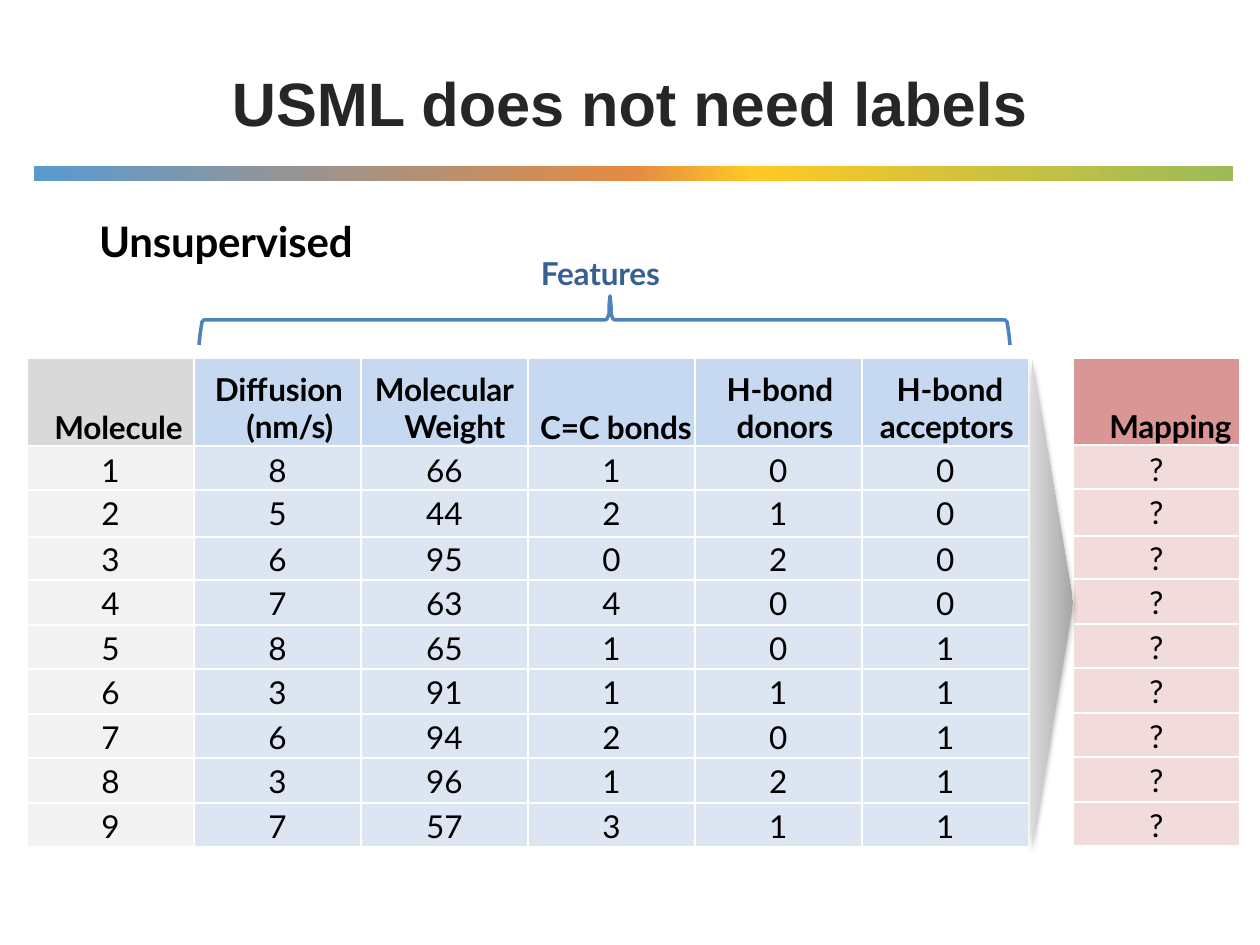
from dataclasses import dataclass

from pptx import Presentation, oxml, util as u
from pptx.dml import color
from pptx.enum import shapes, text
from pptx.oxml import ns

PX = 914400 / 126


def px(n):
    return u.Emu(round(n * PX))


@dataclass(frozen=True)
class Theme:
    head: str = "Arial"
    body: str = "Lato"
    ink: str = "000000"
    title: str = "262626"
    label: str = "376092"
    brace: str = "4F81BD"
    rule: str = "FFFFFF"
    key: tuple = ("D9D9D9", "F2F2F2")
    feat: tuple = ("C6D9F1", "DCE6F2")
    goal: tuple = ("D99694", "F2DCDB")
    bar: tuple = ((0, "599BD1"), (50, "E58B43"), (60, "FFC824"), (100, "9BBB59"))
    fade: tuple = ((0, "D9D9D9"), (100, "A6A6A6"))
    big: int = 35
    mid: int = 24
    small: int = 18


class Deck:
    def __init__(self, theme):
        self.theme = theme
        self.prs = Presentation()
        self.prs.slide_width, self.prs.slide_height = px(1260), px(945)
        self.slide = self.prs.slides.add_slide(self.prs.slide_layouts[6])
        self.items = self.slide.shapes

    def node(self, tag, body):
        return oxml.parse_xml(f"<a:{tag} {ns.nsdecls('a')}{body}")

    def style(self, para, size, hue, bold=True, font=None, gap=-10):
        for run in para.runs:
            run.font.name = font or self.theme.body
            run.font.size = u.Pt(size)
            run.font.bold = bold
            run.font.color.rgb = color.RGBColor.from_string(hue)
            run.font._element.set("spc", str(gap))

    def label(self, words, box, size, hue, font=None, gap=-10, mid=False):
        shape = self.items.add_textbox(*map(px, box))
        frame = shape.text_frame
        frame.word_wrap = True
        frame.margin_left = frame.margin_right = frame.margin_bottom = 0
        frame.margin_top = px(1)
        frame.text = words
        para = frame.paragraphs[0]
        if mid:
            frame.vertical_anchor = text.MSO_ANCHOR.MIDDLE
            para.alignment = text.PP_ALIGN.CENTER
        self.style(para, size, hue, font=font, gap=gap)

    def blend(self, kind, box, stops):
        shape = self.items.add_shape(kind, *map(px, box))
        shape.shadow.inherit = False
        shape.line.fill.background()
        shape.fill.gradient()
        shape.fill.gradient_angle = 0
        group = shape.element.spPr.find(".//" + ns.qn("a:gsLst"))
        for old in list(group):
            group.remove(old)
        for pos, hue in stops:
            group.append(self.node("gs", f' pos="{pos * 1000}"><a:srgbClr val="{hue}"/></a:gs>'))
        return shape

    def arrow(self, box, stops):
        shape = self.blend(shapes.MSO_SHAPE.RIGHT_ARROW, box, stops)
        shape.adjustments[0] = shape.adjustments[1] = 1
        glow = shape.element.spPr.find(ns.qn("a:effectLst"))
        glow.append(self.node("outerShdw", f' blurRad="{u.Pt(3.1)}" dist="{u.Pt(1.8)}" dir="5400000">'
                              '<a:srgbClr val="000000"><a:alpha val="35000"/></a:srgbClr></a:outerShdw>'))

    def brace(self, left, right, mid):
        ends = [(0, 345), (1, 335), (2, 328), (3, 322), (5, 320)]
        tip = [(5, 320), (3, 319), (1, 314), (1, 306), (0, 296)]
        pts = [(left + x, y) for x, y in ends]
        pts += [(mid - x, y) for x, y in tip]
        pts += [(mid + x, y) for x, y in tip[-2::-1]]
        pts += [(right - x, y) for x, y in ends[::-1]]
        path = self.items.build_freeform(*pts[0], scale=PX)
        path.add_line_segments(pts[1:], close=False)
        shape = path.convert_to_shape()
        shape.shadow.inherit = False
        shape.fill.background()
        shape.line.color.rgb = color.RGBColor.from_string(self.theme.brace)
        shape.line.width = u.Pt(2)

    def cell(self, cell, words, hue, top, bold=False):
        cell.margin_left = cell.margin_right = cell.margin_bottom = 0
        cell.margin_top = px(top)
        props = cell._tc.get_or_add_tcPr()
        for side in "LRTB":
            props.append(self.node(f"ln{side}", f' w="{u.Pt(1.5)}"><a:solidFill><a:srgbClr '
                                   f'val="{self.theme.rule}"/></a:solidFill></a:ln{side}>'))
        cell.fill.solid()
        cell.fill.fore_color.rgb = color.RGBColor.from_string(hue)
        cell.text = words
        para = cell.text_frame.paragraphs[0]
        para.alignment = text.PP_ALIGN.CENTER
        self.style(para, self.theme.small, self.theme.ink, bold, gap=-10 if bold else 0)
        return para

    def table(self, left, top, wide, tall, heads, rows, hues):
        frame = self.items.add_table(len(rows) + 1, len(heads), px(left), px(top),
                                     px(wide * len(heads)), px(sum(tall)))
        grid = frame.table
        grid.first_row = grid.horz_banding = False
        for col in grid.columns:
            col.width = px(wide)
        for row, high in zip(grid.rows, tall):
            row.height = px(high)
        for c, (words, first, rest) in enumerate(heads):
            two = "\v" in words
            para = self.cell(grid.cell(0, c), words, hues[c][0], 13 if two else tall[0] - 38, True)
            if two:
                para.line_spacing = u.Pt(21.3)
            props = para._p.get_or_add_pPr()
            props.set("marL", str(px(rest)))
            props.set("indent", str(px(first - rest)))
            for r, row in enumerate(rows, 1):
                self.cell(grid.cell(r, c), str(row[c]), hues[c][1], 4 if r == 3 else 5)


def main():
    theme = Theme()
    deck = Deck(theme)
    deck.blend(shapes.MSO_SHAPE.RECTANGLE, (34, 166, 1199, 15), theme.bar)
    deck.label("USML does not need labels", (63, 64, 1134, 76), theme.big, theme.title,
               theme.head, 0, True)
    deck.label("Unsupervised", (99, 215, 296, 53), theme.mid, theme.ink)
    deck.label("Features", (541, 253, 179, 40), theme.small, theme.label)
    deck.brace(199, 1010, 610)

    heads = [("Molecule", 16, 16), ("Diffusion\v(nm/s)", 3, 25), ("Molecular\vWeight", 0, 21),
             ("C=C bonds", 9, 9), ("H-bond\vdonors", 3, 13), ("H-bond\vacceptors", 9, 3)]
    rows = [(1, 8, 66, 1, 0, 0), (2, 5, 44, 2, 1, 0), (3, 6, 95, 0, 2, 0),
            (4, 7, 63, 4, 0, 0), (5, 8, 65, 1, 0, 1), (6, 3, 91, 1, 1, 1),
            (7, 6, 94, 2, 0, 1), (8, 3, 96, 1, 2, 1), (9, 7, 57, 3, 1, 1)]
    tall = [44, 47, 43] + [45, 44] * 3
    deck.table(27, 358, 167, [88] + tall, heads, rows, [theme.key] + [theme.feat] * 5)
    deck.table(1073, 358, 167, [87] + tall, [("Mapping", 28, 28)], ["?"] * len(rows), [theme.goal])
    deck.arrow((1032, 358, 41, 489), theme.fade)
    deck.prs.save("out.pptx")


if __name__ == "__main__":
    main()
